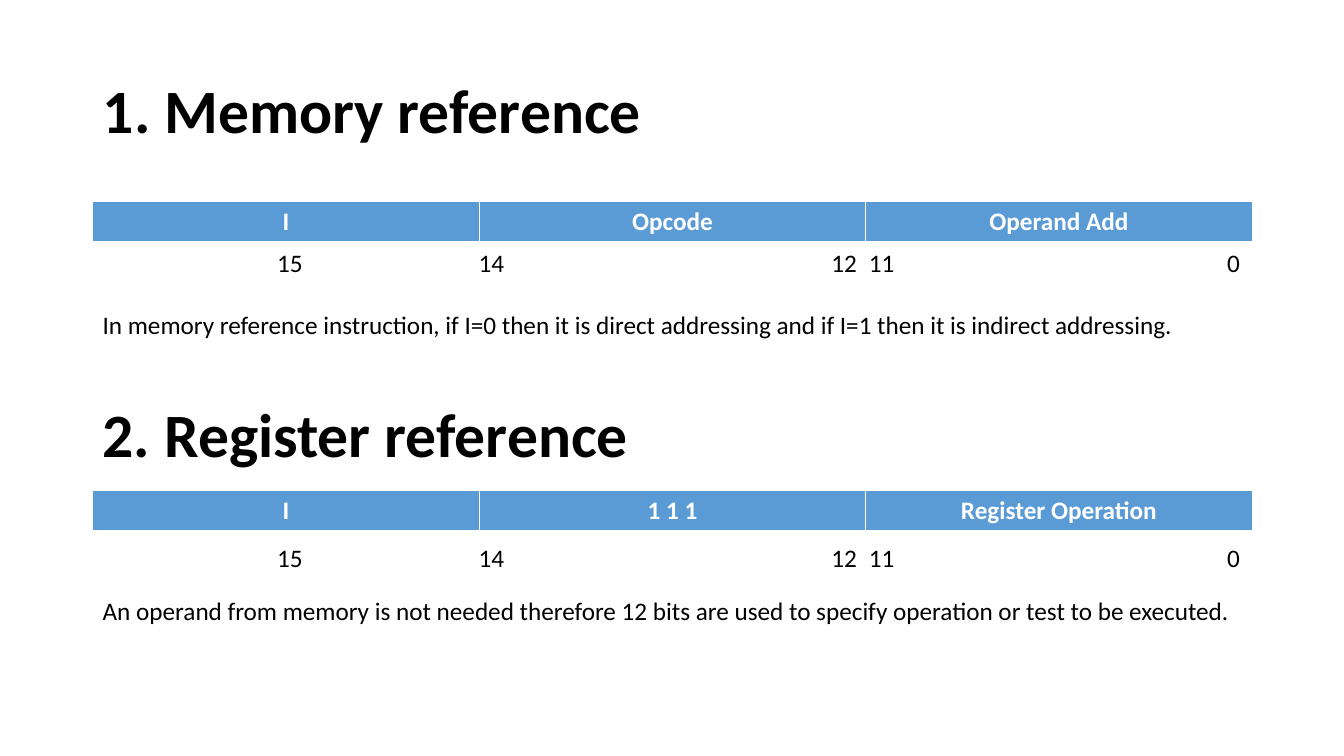
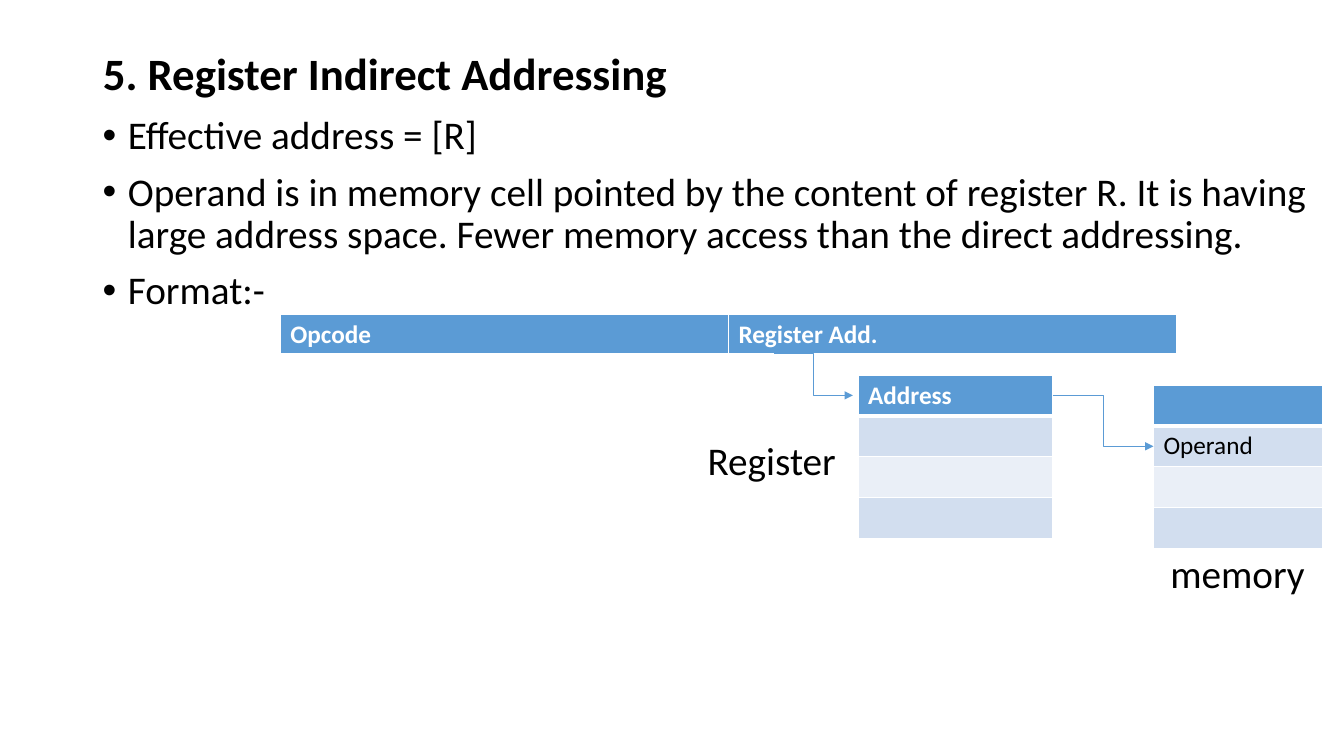
from dataclasses import dataclass

from lxml.etree import SubElement
from pptx import Presentation
from pptx.dml.color import RGBColor
from pptx.enum.shapes import MSO_CONNECTOR
from pptx.enum.text import MSO_ANCHOR, MSO_AUTO_SIZE, PP_ALIGN
from pptx.oxml.ns import qn
from pptx.util import Inches, Pt


@dataclass(frozen=True)
class Theme:
    font: str = "Calibri"
    black: str = "000000"
    white: str = "FFFFFF"
    blue: str = "5B9BD5"
    bands: tuple = ("D2DEEF", "EAEFF7")
    heading: int = 44
    subheading: int = 32
    body: int = 28
    small: int = 18
    spacing: float = 0.9


T = Theme()
WIDTH, HEIGHT = 13.33, 7.5
LEFT, CONTENT_W = 0.92, 11.5
ROW = 0.405
TITLE_ONLY = 5


# Shared text and line helpers
def style(p, size, color=T.black, bold=False):
    f = p.font
    f.name, f.size, f.bold = T.font, Pt(size), bold
    f.color.rgb = RGBColor.from_string(color)


def add_text(s, box, text, size):
    sp = s.shapes.add_textbox(*map(Inches, box))
    tf = sp.text_frame
    tf.word_wrap = True
    tf.text = text
    style(tf.paragraphs[0], size)
    return sp


def format_heading(sp, box, text, size):
    sp.left, sp.top, sp.width, sp.height = map(Inches, box)
    tf = sp.text_frame
    tf.text = text
    tf.word_wrap = True
    tf.auto_size = MSO_AUTO_SIZE.NONE
    tf.vertical_anchor = MSO_ANCHOR.MIDDLE
    p = tf.paragraphs[0]
    p.alignment = PP_ALIGN.LEFT
    p.line_spacing = T.spacing
    style(p, size, bold=True)


def add_arrow(s, start, end):
    c = s.shapes.add_connector(MSO_CONNECTOR.ELBOW, *map(Inches, start + end))
    c.line.color.rgb = RGBColor.from_string(T.blue)
    c.line.width = Pt(0.5)
    SubElement(c.line._get_or_add_ln(), qn("a:tailEnd"), type="triangle")
    SubElement(c._element.spPr, qn("a:effectLst"))


# Tables: blue header row, banded rows below it
def set_borders(cell, bottom):
    tc_pr = cell._tc.get_or_add_tcPr()
    for i, (side, width) in enumerate(zip("LRTB", (1, 1, 1, bottom))):
        ln = SubElement(tc_pr, qn(f"a:ln{side}"), w=str(Pt(width)))
        fill = SubElement(ln, qn("a:solidFill"))
        SubElement(fill, qn("a:srgbClr"), val=T.white)
        tc_pr.insert(i, ln)


def add_cells(s, left, top, width, rows, align=PP_ALIGN.LEFT):
    size = map(Inches, (left, top, width, ROW * len(rows)))
    table = s.shapes.add_table(len(rows), len(rows[0]), *size).table
    for r, row in enumerate(rows):
        for c, text in enumerate(row):
            cell = table.cell(r, c)
            header = r == 0
            color = T.blue if header else T.bands[(r - 1) % 2]
            cell.fill.solid()
            cell.fill.fore_color.rgb = RGBColor.from_string(color)
            set_borders(cell, 3 if header else 1)
            cell.text = text
            p = cell.text_frame.paragraphs[0]
            p.alignment = align
            style(p, T.small, T.white if header else T.black, header)


# Bit numbers, set on tab stops under the fields of a format
def add_bit_numbers(s, top):
    sp = add_text(s, (LEFT, top, CONTENT_W, 0.4), "", T.small)
    p = sp.text_frame.paragraphs[0]
    p_pr = p._p.get_or_add_pPr()
    p_pr.clear()
    tabs = SubElement(p_pr, qn("a:tabLst"))
    for pos, side in ((1.73, "l"), (3.73, "l"), (7.48, "r"), (7.6, "l"), (11.28, "r")):
        SubElement(tabs, qn("a:tab"), pos=str(Inches(pos)), algn=side)
    p.add_run().text = "\t15\t14\t12\t11\t0"
    style(p, T.small)


def add_instruction(s, heading, top, title, fields, note, offsets):
    """One instruction format: heading, field table, bit numbers and note."""
    table_top, bits_top, note_top = (top + d for d in offsets)
    format_heading(heading, (LEFT, top, CONTENT_W, 1.45), title, T.heading)
    add_cells(s, LEFT, table_top, CONTENT_W, [fields], PP_ALIGN.CENTER)
    add_bit_numbers(s, bits_top)
    add_text(s, (LEFT, note_top, CONTENT_W, 0.71), note, T.small)


def instruction_slide(prs):
    s = prs.slides.add_slide(prs.slide_layouts[TITLE_ONLY])
    add_instruction(
        s, s.shapes.title, 0.4, "1. Memory reference",
        ["I", "Opcode", "Operand Add"],
        "In memory reference instruction, if I=0 then it is direct addressing "
        "and if I=1 then it is indirect addressing.",
        (1.6, 2, 2.62))
    second = s.shapes.add_textbox(0, 0, 0, 0)
    add_instruction(
        s, second, 3.62, "2. Register reference",
        ["I", "1 1 1", "Register Operation"],
        "An operand from memory is not needed therefore 12 bits are used to "
        "specify operation or test to be executed.",
        (1.25, 1.71, 2.24))


# Addressing slide
def add_bullets(s, box, items):
    tf = s.shapes.add_textbox(*map(Inches, box)).text_frame
    tf.word_wrap = True
    for i, item in enumerate(items):
        p = tf.paragraphs[0] if i == 0 else tf.add_paragraph()
        p_pr = p._p.get_or_add_pPr()
        p_pr.set("marL", str(Inches(0.25)))
        p_pr.set("indent", str(Inches(-0.25)))
        SubElement(p_pr, qn("a:buFont"), typeface="Arial")
        SubElement(p_pr, qn("a:buChar"), char="•")
        p.line_spacing = T.spacing
        if i:
            p.space_before = Pt(10)
        p.add_run().text = item
        style(p, T.body)


def add_lookup(s, left, top):
    """Opcode and register fields leading to the register, then to memory."""
    reg_x, reg_y = left + 5.73, top + 0.6
    mem_x, mem_y = left + 8.66, top + 0.7
    reg_w, mem_w = 1.93, 1.68
    add_cells(s, left, top, 8.89, [["Opcode", "Register Add."]])
    add_arrow(s, (left + 4.9, top + 0.39), (reg_x - 0.05, reg_y + ROW / 2))
    add_cells(s, reg_x, reg_y, reg_w, [["Address"], [""], [""], [""]])
    add_cells(s, mem_x, mem_y, mem_w, [[""], ["Operand"], [""], [""]])
    add_arrow(s, (reg_x + reg_w, reg_y + ROW / 2), (mem_x, mem_y + ROW * 1.5))
    add_text(s, (reg_x - 1.59, top + 1.16, 1.55, 0.57), "Register", T.body)
    add_text(s, (mem_x + 0.07, top + 2.28, 1.75, 0.57), "memory", T.body)


def addressing_slide(prs):
    s = prs.slides.add_slide(prs.slide_layouts[TITLE_ONLY])
    format_heading(s.shapes.title, (LEFT, 0.4, CONTENT_W, 0.7),
                   "5. Register Indirect Addressing", T.subheading)
    add_bullets(s, (LEFT, 1.1, WIDTH - LEFT, 2.1), [
        "Effective address = [R]",
        "Operand is in memory cell pointed by the content of register R. It is "
        "having large address space. Fewer memory access than the direct addressing.",
        "Format:-",
    ])
    add_lookup(s, 2.78, 3.12)


def main():
    prs = Presentation()
    prs.slide_width, prs.slide_height = Inches(WIDTH), Inches(HEIGHT)
    instruction_slide(prs)
    addressing_slide(prs)
    prs.save("out.pptx")


if __name__ == "__main__":
    main()
